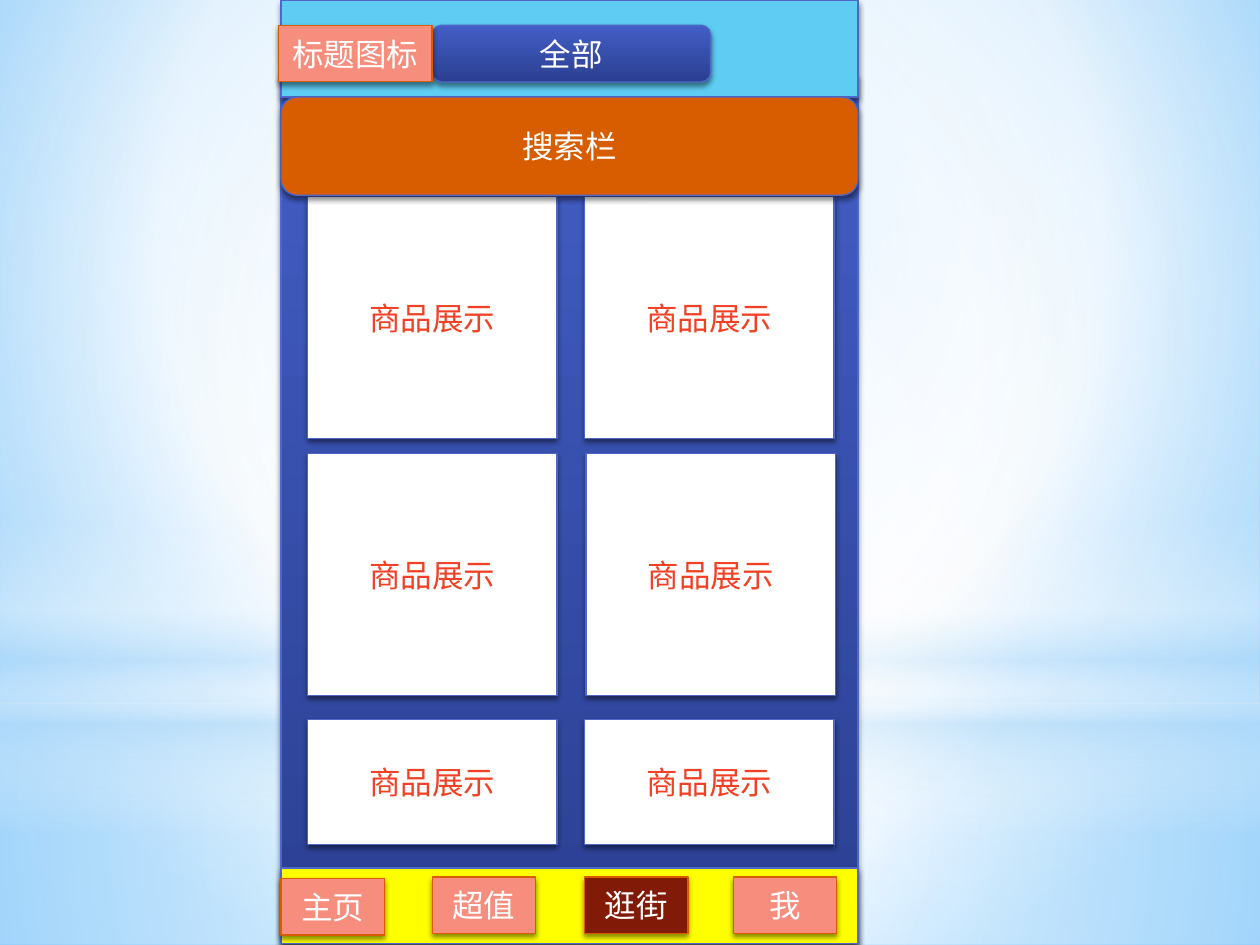
from lxml import etree
from pptx import Presentation
from pptx.dml.color import RGBColor
from pptx.enum.shapes import MSO_SHAPE as Shape
from pptx.enum.text import MSO_ANCHOR as Anchor, PP_ALIGN as Align
from pptx.oxml.ns import qn
from pptx.util import Inches, Pt

COLORS = {
    "white": "FFFFFF", "blue": "4E67C8", "blue top": "435EC5",
    "blue bottom": "2B4092", "cyan": "5ECCF3", "yellow": "FFFF00",
    "orange": "D85C00", "salmon": "F78D7C", "maroon": "821A08",
    "red": "F14124", "mist": "B4DCFA", "sky": "9ED5FF", "deep sky": "5BB9FF",
    "shadow": "000000",
}
FONT, TEXT_SIZE = "Lato", 18

# Gradients: stops as (position %, colour, opacity %), then an angle or a focus box
CENTER = (50, 50, 50, 50)
BACKGROUND = ([(0, "sky", 100), (60, "white", 100), (100, "deep sky", 100)],
              (20, 10, 20, 60))
PANEL = ([(0, "blue top", 100), (100, "blue bottom", 100)], 90)
GLOWS = [  # shape, box, gradient
    (Shape.RECTANGLE, (0, 5.58, 10, 1.92),
     ([(0, "white", 91), (37, "white", 76), (100, "mist", 79)], CENTER)),
    (Shape.RECTANGLE, (0, 0, 10, 5.58),
     ([(0, "white", 89), (48, "white", 62), (100, "mist", 79)], CENTER)),
    (Shape.RECTANGLE, (0, 4.12, 10, 2.5),
     ([(0, "white", 0), (29, "white", 30), (45, "mist", 40),
       (55, "white", 26), (65, "mist", 60), (100, "white", 0)], 90)),
    (Shape.OVAL, (0, 1.75, 10, 5.58),
     ([(0, "white", 100), (56, "white", 0)], CENTER)),
]

# Phone screen
PHONE_LEFT, PHONE_WIDTH = 2.23, 4.58
TABS = [  # text, left, top, fill
    ("主页", 2.23, 6.97, "salmon"),
    ("超值", 3.43, 6.96, "salmon"),
    ("逛街", 4.64, 6.96, "maroon"),
    ("我", 5.82, 6.96, "salmon"),
]
TAB_SIZE = (0.82, 0.45)
PRODUCT_TEXT = "商品展示"
PRODUCT_WIDTH = 1.98
PRODUCT_ROWS = [  # top, height, lefts
    (1.56, 1.92, (4.64, 2.44)),
    (3.6, 1.92, (4.65, 2.44)),
    (5.71, 0.99, (4.64, 2.44)),
]


def rgb(name):
    return RGBColor.from_string(COLORS[name])


def add_color(parent, name, opacity):
    color = etree.SubElement(parent, qn("a:srgbClr"), val=COLORS[name])
    if opacity < 100:
        etree.SubElement(color, qn("a:alpha"), val=str(opacity * 1000))


def set_gradient(fill, properties, gradient):
    stops, direction = gradient
    fill.solid()
    element = etree.Element(qn("a:gradFill"), rotWithShape="1")
    stop_list = etree.SubElement(element, qn("a:gsLst"))
    for position, name, opacity in stops:
        stop = etree.SubElement(stop_list, qn("a:gs"), pos=str(position * 1000))
        add_color(stop, name, opacity)
    if isinstance(direction, tuple):
        focus = etree.SubElement(element, qn("a:path"))
        focus.set("path", "circle")
        sides = {side: str(value * 1000) for side, value in zip("ltrb", direction)}
        etree.SubElement(focus, qn("a:fillToRect"), sides)
    else:
        etree.SubElement(element, qn("a:lin"), ang=str(direction * 60000), scaled="0")
    properties.replace(properties.find(qn("a:solidFill")), element)


def add_shadow(shape):
    shape.shadow.inherit = False
    effects = shape._element.spPr.find(qn("a:effectLst"))
    shadow = etree.SubElement(
        effects, qn("a:outerShdw"), blurRad=str(Pt(3.1)), dist=str(Pt(1.8)),
        dir=str(90 * 60000), algn="ctr", rotWithShape="0")
    add_color(shadow, "shadow", 45)


def add_filled(shapes, kind, box, fill):
    shape = shapes.add_shape(kind, *(Inches(value) for value in box))
    if isinstance(fill, tuple):
        set_gradient(shape.fill, shape._element.spPr, fill)
    else:
        shape.fill.solid()
        shape.fill.fore_color.rgb = rgb(fill)
    return shape


def add_block(shapes, box, fill, text="", line="blue", text_color="white",
              kind=Shape.RECTANGLE):
    shape = add_filled(shapes, kind, box, fill)
    shape.line.color.rgb = rgb(line)
    shape.line.width = Pt(0.75)
    add_shadow(shape)
    if text:
        shape.text_frame.vertical_anchor = Anchor.MIDDLE
        paragraph = shape.text_frame.paragraphs[0]
        paragraph.alignment = Align.CENTER
        run = paragraph.add_run()
        run.text = text
        run.font.name = FONT
        run.font.size = Pt(TEXT_SIZE)
        run.font.color.rgb = rgb(text_color)


presentation = Presentation()
presentation.slide_width, presentation.slide_height = Inches(10), Inches(7.5)
slide = presentation.slides.add_slide(presentation.slide_layouts[6])

# Background and its soft glows
background_fill = slide.background.fill
background_fill.solid()
set_gradient(background_fill, slide._element.find(".//" + qn("p:bgPr")), BACKGROUND)
for kind, box, gradient in GLOWS:
    glow = add_filled(slide.shapes, kind, box, gradient)
    glow.line.fill.background()
    glow.shadow.inherit = False

# Phone body, header and tab bar
phone = slide.shapes.add_group_shape().shapes
add_block(phone, (PHONE_LEFT, 0.6, PHONE_WIDTH, 6.89), PANEL)
add_block(phone, (PHONE_LEFT, 0, PHONE_WIDTH, 0.77), "cyan")
add_block(phone, (3.43, 0.2, 2.21, 0.45), PANEL, "全部", kind=Shape.ROUNDED_RECTANGLE)
add_block(phone, (PHONE_LEFT, 6.89, PHONE_WIDTH, 0.6), "yellow")
for text, left, top, fill in TABS:
    add_block(phone, (left, top, *TAB_SIZE), fill, text, line="orange")

# Product grid
for top, height, lefts in PRODUCT_ROWS:
    for left in lefts:
        add_block(phone, (left, top, PRODUCT_WIDTH, height), "white",
                  PRODUCT_TEXT, text_color="red")

# Title icon and search bar
add_block(slide.shapes, (2.21, 0.2, 1.22, 0.45), "salmon", "标题图标", line="orange")
add_block(slide.shapes, (PHONE_LEFT, 0.77, PHONE_WIDTH, 0.78), "orange", "搜索栏",
          kind=Shape.ROUNDED_RECTANGLE)

presentation.save("out.pptx")
